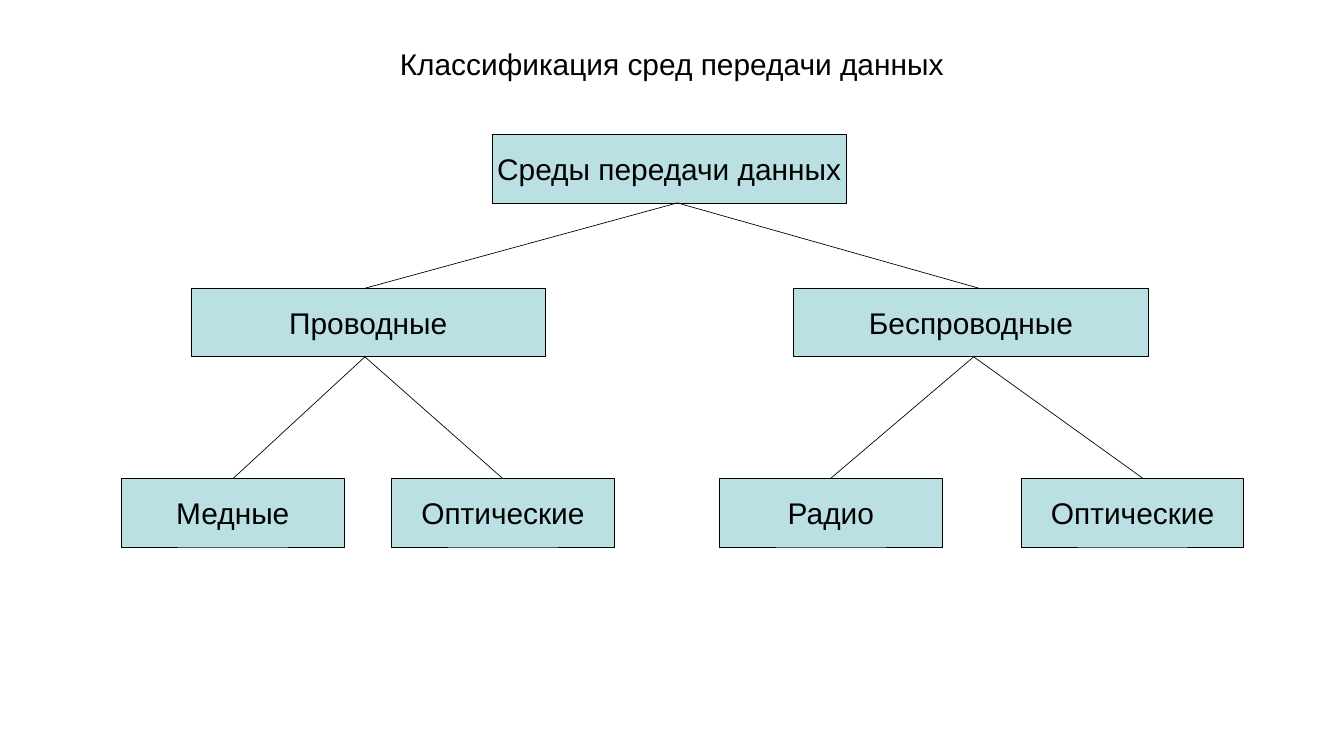
"""Build a slide with a tree of data transmission media."""
import dataclasses

import pptx
import pptx.dml.color
import pptx.enum.shapes
import pptx.enum.text
import pptx.oxml
import pptx.util

BLACK = pptx.dml.color.RGBColor(0x00, 0x00, 0x00)
PALE_TEAL = pptx.dml.color.RGBColor(0xBB, 0xE0, 0xE3)
COLUMNS, ROWS = 20, 11.25
CELL = pptx.util.Inches(1)
BOX_HEIGHT = 1.02
LEVEL_TOPS = (0, 2.29, 5.12)
LEVEL_WIDTHS = (5.28, 5.28, 3.31)


@dataclasses.dataclass
class Medium:
    """A tree node: its left edge, the columns where lines enter and leave, its children."""
    name: str
    left: float
    entry: float
    exit: float = 0
    children: tuple = ()


MEDIA = Medium("Среды передачи данных", 5.51, 8.27, 8.27, (
    Medium("Проводные", 1.03, 3.62, 3.62, (
        Medium("Медные", 0, 1.66),
        Medium("Оптические", 4.02, 5.67))),
    Medium("Беспроводные", 10, 12.76, 12.68, (
        Medium("Радио", 8.9, 10.55),
        Medium("Оптические", 13.39, 15.2)))))


def cells(*counts):
    """Turn grid counts into lengths."""
    return [pptx.util.Emu(round(count * CELL)) for count in counts]


def write(shape, text, inset_x, inset_y):
    """Write one centred line of black text into a shape."""
    frame = shape.text_frame
    frame.margin_left = frame.margin_right = pptx.util.Inches(inset_x)
    frame.margin_top = frame.margin_bottom = pptx.util.Inches(inset_y)
    frame.vertical_anchor = pptx.enum.text.MSO_ANCHOR.MIDDLE
    para = frame.paragraphs[0]
    para.text = text
    para.alignment = pptx.enum.text.PP_ALIGN.CENTER
    para.font.name = "Arial"
    para.font.size = pptx.util.Pt(32)
    para.font.color.rgb = BLACK


def outline(shape):
    """Give a shape or connector a thin black line."""
    shape.line.color.rgb = BLACK
    shape.line.width = pptx.util.Pt(0.75)


def add_title(page, left, top, width, height):
    """Place the page title in the given box."""
    title = page.shapes.title
    title.left, title.top, title.width, title.height = cells(left, top, width, height)
    write(title, "Классификация сред передачи данных", 0.18, 0.09)


def add_boxes(page, medium, left, top, level=0):
    """Draw a medium and all media below it as labelled boxes."""
    box = page.shapes.add_shape(
        pptx.enum.shapes.MSO_SHAPE.RECTANGLE,
        *cells(left + medium.left, top + LEVEL_TOPS[level], LEVEL_WIDTHS[level], BOX_HEIGHT))
    box.shadow.inherit = False
    box.fill.solid()
    box.fill.fore_color.rgb = PALE_TEAL
    outline(box)
    write(box, medium.name, 0.1, 0.05)
    box.text_frame.word_wrap = False
    for child in medium.children:
        add_boxes(page, child, left, top, level + 1)


def add_branches(page, medium, left, top, level=0):
    """Join a medium to each of its children, level by level."""
    for child in medium.children:
        branch = page.shapes.add_connector(
            pptx.enum.shapes.MSO_CONNECTOR.STRAIGHT,
            *cells(left + medium.exit, top + LEVEL_TOPS[level] + BOX_HEIGHT,
                   left + child.entry, top + LEVEL_TOPS[level + 1]))
        outline(branch)
        branch._element.spPr.append(pptx.oxml.parse_xml(
            '<a:effectLst xmlns:a="http://schemas.openxmlformats.org/drawingml/2006/main"/>'))
        add_branches(page, child, left, top, level + 1)


def add_tree(page, left, top):
    """Draw the whole classification from the given corner."""
    add_boxes(page, MEDIA, left, top)
    add_branches(page, MEDIA, left, top)


def main():
    """Build and save the deck."""
    deck = pptx.Presentation()
    deck.slide_width, deck.slide_height = cells(COLUMNS, ROWS)
    page = deck.slides.add_slide(deck.slide_layouts.get_by_name("Title Only"))
    add_title(page, 1, 0.45, 18, 1)
    add_tree(page, 1.81, 2)
    deck.save("out.pptx")


if __name__ == "__main__":
    main()
